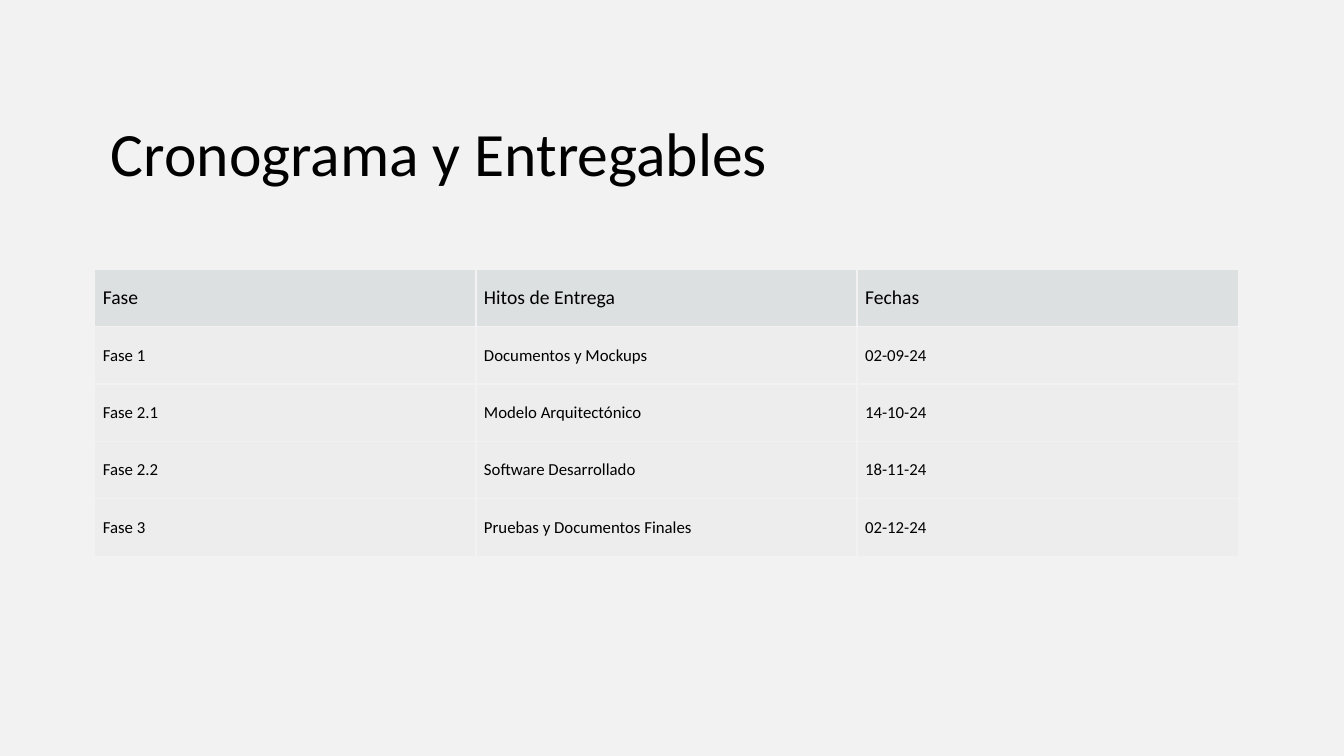
"""Build the schedule and deliverables slide."""
from lxml.etree import SubElement
from pptx import Presentation
from pptx.dml.color import RGBColor
from pptx.enum.text import MSO_ANCHOR, MSO_AUTO_SIZE, PP_ALIGN
from pptx.oxml.ns import qn
from pptx.util import Inches, Pt

TITLE = "Cronograma y Entregables"
ROWS = [
    ("Fase", "Hitos de Entrega", "Fechas"),
    ("Fase 1", "Documentos y Mockups", "02-09-24"),
    ("Fase 2.1", "Modelo Arquitectónico", "14-10-24"),
    ("Fase 2.2", "Software Desarrollado", "18-11-24"),
    ("Fase 3", "Pruebas y Documentos Finales", "02-12-24"),
]
FONT = "Calibri"
BACKGROUND, HEADER, BODY, TEXT = "F2F2F2", "DDE0E0", "EDEDED", "000000"
TABLE_LEFT, TABLE_TOP = 0.94, 2.67
COLUMN_WIDTH, ROW_HEIGHT = 3.78, 0.57
CELL_MARGIN = 0.08


def paint(fill, color):
    fill.solid()
    fill.fore_color.rgb = RGBColor.from_string(color)


def write(text_frame, text, size):
    paragraph = text_frame.paragraphs[0]
    paragraph.alignment = PP_ALIGN.LEFT
    run = paragraph.add_run()
    run.text = text
    run.font.name = FONT
    run.font.size = Pt(size)
    run.font.bold = False
    paint(run.font.fill, TEXT)


def add_borders(cell, color):
    properties = cell._tc.get_or_add_tcPr()
    for side in ("a:lnL", "a:lnR", "a:lnT", "a:lnB"):
        line = SubElement(properties, qn(side), w=str(Pt(1)))
        fill = SubElement(line, qn("a:solidFill"))
        SubElement(fill, qn("a:srgbClr"), val=color)


def add_title(slide):
    title = slide.shapes.title
    title.left, title.top = Inches(1), Inches(0.79)
    title.width, title.height = Inches(11.42), Inches(1.44)
    title.text_frame.auto_size = MSO_AUTO_SIZE.NONE
    title.text_frame.vertical_anchor = MSO_ANCHOR.MIDDLE
    write(title.text_frame, TITLE, 44)


def add_schedule(slide):
    column_count = len(ROWS[0])
    table = slide.shapes.add_table(
        len(ROWS), column_count, Inches(TABLE_LEFT), Inches(TABLE_TOP),
        Inches(COLUMN_WIDTH * column_count), Inches(ROW_HEIGHT * len(ROWS)),
    ).table
    table.first_row = table.horz_banding = False
    for row_index, texts in enumerate(ROWS):
        is_header = row_index == 0
        for column_index, text in enumerate(texts):
            cell = table.cell(row_index, column_index)
            cell.margin_left = cell.margin_right = Inches(CELL_MARGIN)
            cell.margin_top = cell.margin_bottom = Inches(CELL_MARGIN)
            cell.vertical_anchor = MSO_ANCHOR.MIDDLE
            add_borders(cell, BACKGROUND)
            paint(cell.fill, HEADER if is_header else BODY)
            write(cell.text_frame, text, 14 if is_header else 12)


def main():
    presentation = Presentation()
    presentation.slide_width = Inches(13.33)
    presentation.slide_height = Inches(7.5)
    slide = presentation.slides.add_slide(presentation.slide_layouts[5])
    paint(slide.background.fill, BACKGROUND)
    add_schedule(slide)
    add_title(slide)
    presentation.save("out.pptx")


if __name__ == "__main__":
    main()
